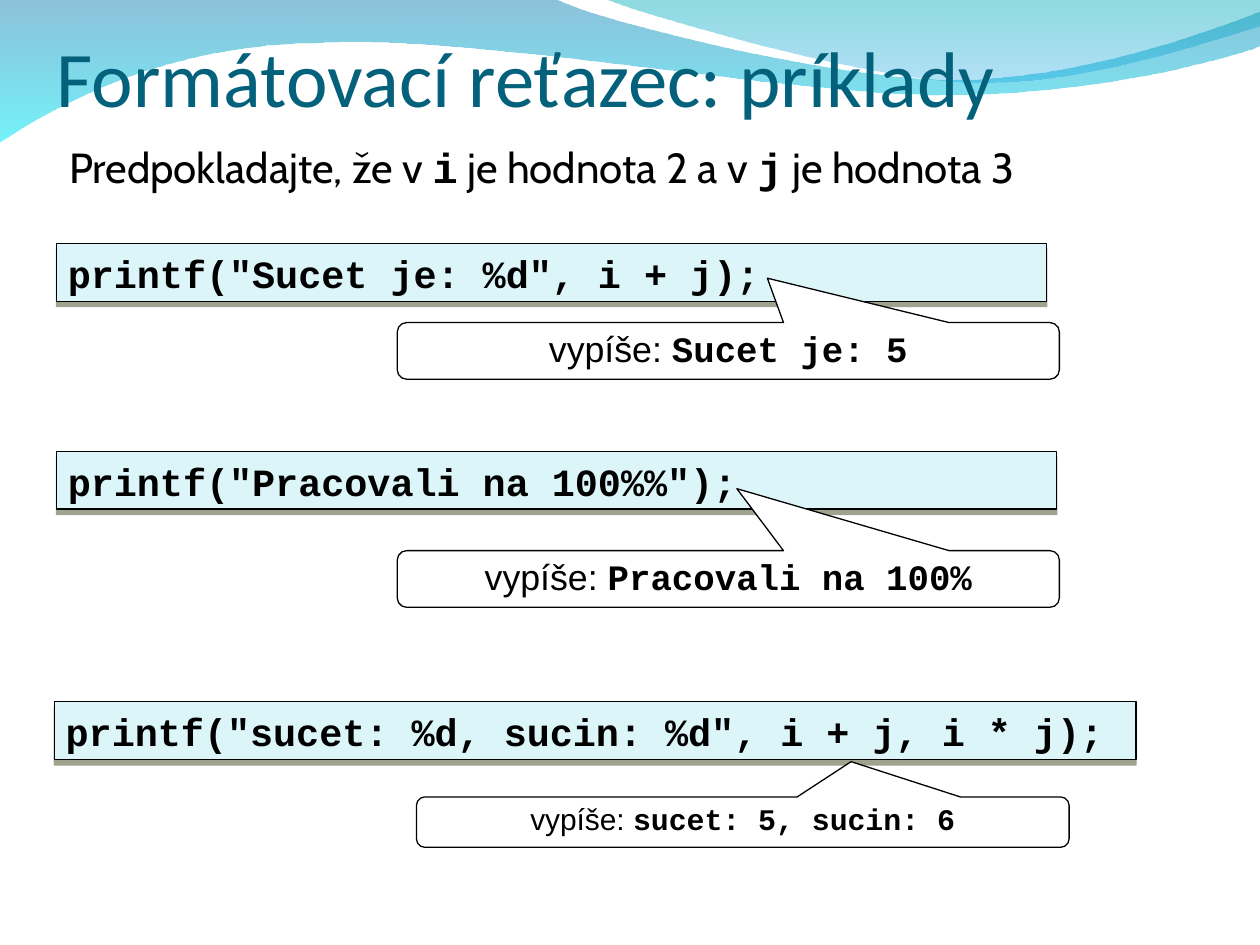
from lxml import etree
from pptx import Presentation
from pptx.dml.color import RGBColor
from pptx.enum.shapes import MSO_SHAPE
from pptx.enum.text import MSO_ANCHOR, MSO_AUTO_SIZE, PP_ALIGN
from pptx.oxml.ns import qn
from pptx.util import Inches, Pt

RECT = MSO_SHAPE.RECTANGLE
CALL = MSO_SHAPE.ROUNDED_RECTANGULAR_CALLOUT
TOP, MID, LOW = MSO_ANCHOR.TOP, MSO_ANCHOR.MIDDLE, MSO_ANCHOR.BOTTOM
LEFT, MIDDLE = PP_ALIGN.LEFT, PP_ALIGN.CENTER
FIXED = MSO_AUTO_SIZE.NONE

WIDE, HIGH = Inches(10), Inches(7.5)
COL, ROW = WIDE / 100, HIGH / 75
CODE = "Courier New"
HUES = {
    "title": "04617B", "ink": "000000", "bar": "DBF5F9", "tag": "FFFFFF",
    "shade": "343F11", "blue": "0079AF", "cyan": "00EBF8",
    "teal": "00ADB6", "sky": "009BE5",
}


def hue(name):
    return RGBColor.from_string(HUES[name])


def grid(box):
    return [round(n * unit) for n, unit in zip(box, (COL, ROW, COL, ROW))]


def fill_text(frame, runs, size, color="ink", align=LEFT, anchor=TOP, pad=(0.09, 0.05)):
    frame.word_wrap = True
    frame.auto_size = FIXED
    frame.vertical_anchor = anchor
    frame.margin_left = frame.margin_right = Inches(pad[0])
    frame.margin_top = frame.margin_bottom = Inches(pad[1])
    para = frame.paragraphs[0]
    para.alignment = align
    for text, font in runs:
        run = para.add_run()
        run.text = text
        run.font.name = font
        run.font.size = Pt(size)
        run.font.bold = font == CODE
        run.font.color.rgb = hue(color)
    return para


def add_box(slide, kind, box, fill):
    shape = slide.shapes.add_shape(kind, *grid(box))
    shape.shadow.inherit = False
    shape.fill.solid()
    shape.fill.fore_color.rgb = hue(fill)
    shape.line.color.rgb = hue("ink")
    shape.line.width = Pt(0.75)
    return shape


def add_shade(shape):
    glow = shape._element.spPr.find(qn("a:effectLst"))
    cast = etree.SubElement(glow, qn("a:outerShdw"), blurRad="0", dist=str(Pt(3)),
                            dir="5400000", algn="ctr", rotWithShape="0")
    tone = etree.SubElement(cast, qn("a:srgbClr"), val=HUES["shade"])
    etree.SubElement(tone, qn("a:alpha"), val="48000")


def bend(shape, legs):
    lines = iter(list(shape._element.spPr.iter(qn("a:lnTo"))))
    for leg in legs:
        part = [next(lines) for _ in leg]
        if len(part) == 3:
            curve = part[0]
            curve.tag = qn("a:cubicBezTo")
            for line in part[1:]:
                curve.append(line[0])
                line.getparent().remove(line)


def add_wave(slide, start, legs, stops):
    pen = slide.shapes.build_freeform(*grid(start), scale=1.0)
    pen.add_line_segments([grid(dot) for leg in legs for dot in leg], close=True)
    wave = pen.convert_to_shape()
    bend(wave, legs)
    wave.shadow.inherit = False
    wave.line.fill.background()
    wave.fill.gradient()
    wave.fill.gradient_angle = 270
    for stop, (name, part) in zip(wave.fill.gradient_stops, stops):
        stop.color.rgb = hue(name)
        tone = stop._gs.find(qn("a:srgbClr"))
        etree.SubElement(tone, qn("a:alpha"), val=str(part * 1000))


def add_waves(slide):
    add_wave(slide, (0, -0.1), [
        [(44, -0.1)],
        [(47.6, 1.7), (66.4, 6.3), (75.8, 6.3)],
        [(85.3, 6.3), (95.8, 2.6), (100, 0.9)],
        [(100.1, 3.6)],
        [(98.3, 4.4), (87, 7.6), (74.6, 7.5)],
        [(62.2, 7.5), (38.2, 2.8), (25.7, 3.4)],
        [(12.9, 3.5), (4.6, 8.3), (-0.1, 11.3)],
    ], [("blue", 45), ("cyan", 55)])
    add_wave(slide, (47.9, -0.1), [
        [(50.9, 1.1), (68.2, 6.2), (76.9, 6.5)],
        [(85.6, 6.9), (96.1, 3.2), (100, 2.1)],
        [(100, 0)],
    ], [("teal", 45), ("sky", 30)])


def add_head(slide, box, text):
    title = slide.shapes.title
    item = title._element
    item.getparent().append(item)
    title.left, title.top, title.width, title.height = grid(box)
    fill_text(title.text_frame, [(text, "Calibri")], 45, "title",
              anchor=LOW, pad=(0, 0))


def add_lead(slide, box):
    runs = [("Predpokladajte, že v ", "Cabin"), ("i", CODE),
            (" je hodnota 2 a v ", "Cabin"), ("j", CODE),
            (" je hodnota 3", "Cabin")]
    lead = slide.shapes.add_textbox(*grid(box))
    fill_text(lead.text_frame, runs, 24, pad=(0.1, 0.05))


def add_demo(slide, box, code, tag, tip, out, size, gap):
    x, y = box[:2]
    bar = add_box(slide, RECT, box, "bar")
    add_shade(bar)
    fill_text(bar.text_frame, [(code, CODE)], 22)
    dx, dy, width, height = tag
    note = add_box(slide, CALL, (x + dx, y + dy, width, height), "tag")
    for spot, value in enumerate((tip[0] / width, tip[1] / height, 1 / 6)):
        note.adjustments[spot] = value
    para = fill_text(note.text_frame, [("vypíše: ", "Arial"), (out, CODE)],
                     size, align=MIDDLE, anchor=MID)
    para.line_spacing = gap


def main():
    deck = Presentation()
    deck.slide_width, deck.slide_height = WIDE, HIGH
    slide = deck.slides.add_slide(deck.slide_layouts[5])
    add_waves(slide)
    add_head(slide, (4.5, 6, 90, 3.8), "Formátovací reťazec: príklady")
    demos = [
        ((4.48, 19.33, 78.6, 4.58), 'printf("Sucet je: %d", i + j);',
         (27.05, 6.27, 52.55, 4.5), (3.1, -5.77), "Sucet je: 5", 20.4, 0.9),
        ((4.48, 35.83, 79.4, 4.58), 'printf("Pracovali na 100%%");',
         (27.05, 7.87, 52.55, 4.5), (0.68, -7.17), "Pracovali na 100%", 20.4, 0.9),
        ((4.32, 55.7, 85.85, 4.6), 'printf("sucet: %d, sucin: %d", i + j, i * j);',
         (28.73, 7.55, 51.8, 4), (8.6, -4.8), "sucet: 5, sucin: 6", 17.1, 0.8),
    ]
    for demo in demos:
        add_demo(slide, *demo)
    add_lead(slide, (4.5, 10.75, 91.2, 9))
    deck.save("out.pptx")


if __name__ == "__main__":
    main()
